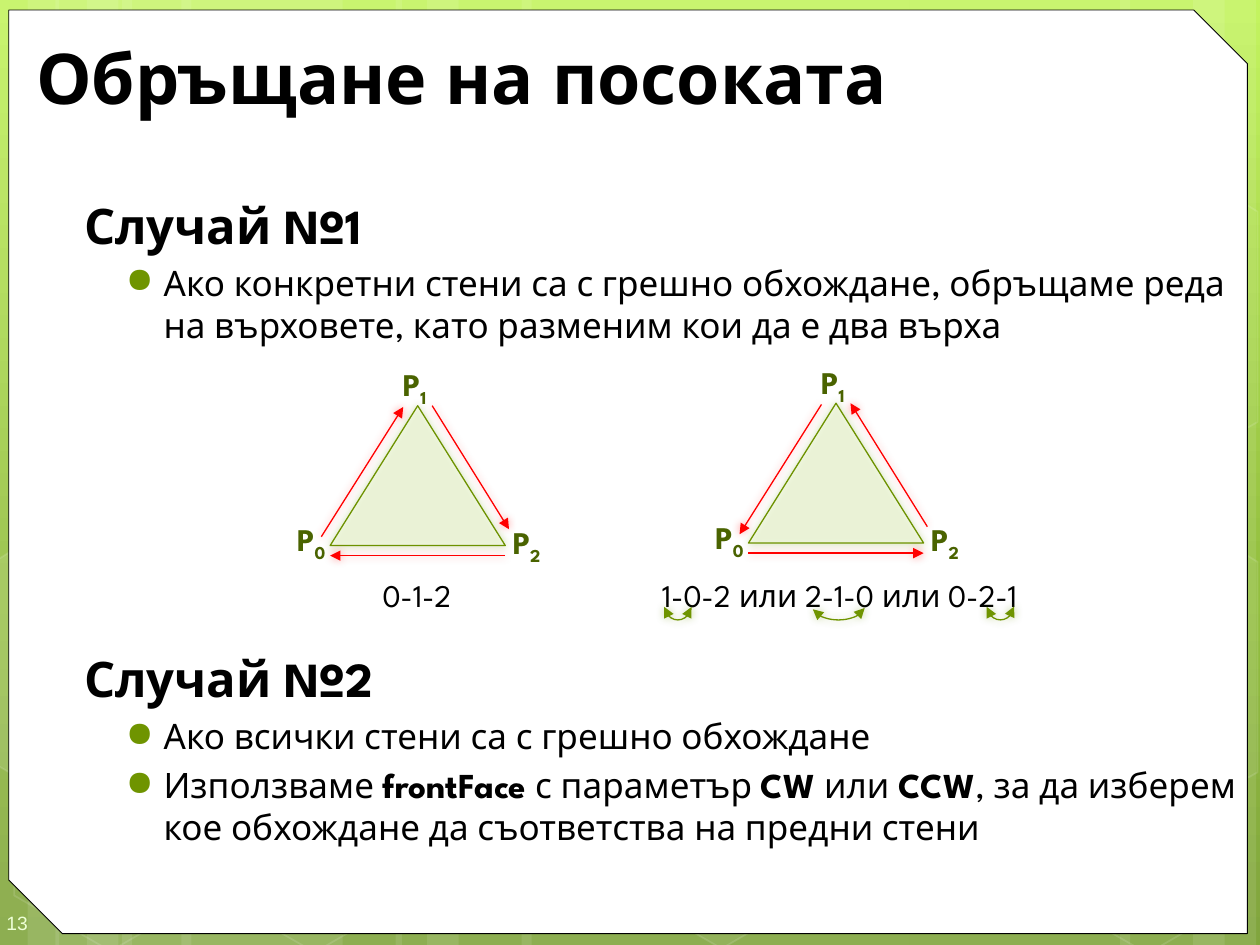
"""Build the slide on reversing the winding order of triangle faces."""
from copy import deepcopy
from typing import NamedTuple

from lxml import etree
from pptx import Presentation
from pptx import util as u
from pptx.dml.color import RGBColor
from pptx.enum import shapes, text
from pptx.oxml.ns import qn

HUE = {
    "top": "C3F35F", "mid": "93BF3F", "low": "81A53E", "white": "FFFFFF",
    "black": "000000", "page": "EEFFD6", "label": "4A6300", "edge": "6D9200",
    "leaf": "6F9400", "face": "F4FCE4", "red": "FF0000",
}
FONT = "League Spartan"
KIND = shapes.MSO_SHAPE
MID = text.PP_ALIGN.CENTER
Point = tuple[float, float]


class Run(NamedTuple):
    words: str
    size: float
    bold: bool = False
    hue: str = "black"
    font: str = FONT
    base: int = 0


class Para(NamedTuple):
    runs: list[Run]
    above: float = 0
    left: float = 0
    hang: float = 0
    mark: bool = False


class Hex(NamedTuple):
    x: float
    y: float
    fill: int = 0
    line: int = 12


class Wing(NamedTuple):
    x: float
    y: float
    ends: tuple[str, ...]


class Bow(NamedTuple):
    x: float
    wide: float
    start: float


BANDS = [(0.97, 1.75), (-0.03, 0.5), (0.22, 0.83), (1.44, 1.75), (0.44, 0.5),
         (0.69, 0.83), (7.22, 1.75), (9.47, 0.5), (8.89, 0.83), (4.14, 3.08),
         (3.14, 0.5), (3.39, 0.83)]
CELLS = [Hex(3.25, 3.13, 10), Hex(4.04, 4.51), Hex(4.05, 1.74, 7, 8),
         Hex(3.23, 0.36, 4, 8), Hex(4.85, 5.89, 6), Hex(0, 5.91),
         Hex(0.03, 3.12, 7, 8), Hex(0.82, 4.51), Hex(1.62, 5.92),
         Hex(1.65, 3.13, 7, 8), Hex(0.84, 1.71), Hex(7.42, 4.53, 10),
         Hex(8.23, 5.93), Hex(8.23, 3.14, 7, 8)]
WINGS = [Wing(2.62, 3.22, ("tailEnd",)), Wing(5.94, 3.2, ("headEnd",))]
TAGS = [("0", -0.31, 0.94), ("2", 1.4, 0.96), ("1", 0.51, -0.29)]
PATHS = [((1.39, 1.19), (0, 1.19)), ((0.81, 0), (1.42, 0.98)),
         ((-0.07, 1.04), (0.58, 0.01))]
BOWS = [Bow(5.27, 0.22, 7.02), Bow(7.83, 0.22, 5.79), Bow(6.44, 0.43, 4.93)]


def tint(name: str) -> RGBColor:
    return RGBColor.from_string(HUE[name])


def fade(node, share: int) -> None:
    for hue in node.iter(qn("a:srgbClr")):
        etree.SubElement(hue, qn("a:alpha"), val=str(share * 1000))


def paint(shape, fill: str = "", line: str = "", width: float = 0.75,
          clear: int = 100, faint: int = 100) -> None:
    shape.shadow.inherit = False
    if fill:
        shape.fill.solid()
        shape.fill.fore_color.rgb = tint(fill)
        fade(shape._element.spPr.find(qn("a:solidFill")), clear)
    else:
        shape.fill.background()
    if line:
        shape.line.color.rgb = tint(line)
        shape.line.width = u.Pt(width)
        fade(shape._element.spPr.find(qn("a:ln")), faint)
    else:
        shape.line.fill.background()


def glow(shape, name: str) -> None:
    props = shape._element.spPr
    group = props.find(qn("a:effectLst"))
    if group is None:
        group = etree.SubElement(props, qn("a:effectLst"))
    cast = etree.SubElement(group, qn("a:outerShdw"), blurRad=str(u.Pt(5)),
                            dist="0", dir="0", algn="ctr", rotWithShape="0")
    etree.SubElement(cast, qn("a:srgbClr"), val=HUE[name])
    fade(cast, 40)


def point(shape, ends: tuple[str, ...]) -> None:
    for end in ends:
        etree.SubElement(shape._element.spPr.find(qn("a:ln")), qn(f"a:{end}"), type="triangle")


def shape(slide, kind, x: float, y: float, w: float, h: float):
    return slide.shapes.add_shape(kind, u.Inches(x), u.Inches(y), u.Inches(w), u.Inches(h))


def write(slide, x: float, y: float, w: float, h: float, paras: list[Para],
          align=None, middle: bool = False,
          pad: tuple[float, ...] = (0.1, 0.05, 0.1, 0.05)) -> None:
    frame = slide.shapes.add_textbox(u.Inches(x), u.Inches(y), u.Inches(w), u.Inches(h)).text_frame
    frame.word_wrap = True
    frame.vertical_anchor = text.MSO_ANCHOR.MIDDLE if middle else text.MSO_ANCHOR.TOP
    (frame.margin_left, frame.margin_top,
     frame.margin_right, frame.margin_bottom) = map(u.Inches, pad)
    for i, item in enumerate(paras):
        para = frame.add_paragraph() if i else frame.paragraphs[0]
        if align is not None:
            para.alignment = align
        if item.above:
            para.space_before = u.Pt(item.above)
        props = para._p.get_or_add_pPr()
        props.set("marL", str(u.Inches(item.left)))
        props.set("indent", str(u.Inches(item.hang)))
        if item.mark:
            hue = etree.SubElement(props, qn("a:buClr"))
            etree.SubElement(hue, qn("a:srgbClr"), val=HUE["leaf"])
            etree.SubElement(props, qn("a:buChar"), char="●")
        for part in item.runs:
            run = para.add_run()
            run.text = part.words
            run.font.size, run.font.bold = u.Pt(part.size), part.bold
            run.font.name, run.font.color.rgb = part.font, tint(part.hue)
            if part.base:
                run.font._element.set("baseline", str(part.base * 1000))


def shade(slide) -> None:
    fill = slide.background.fill
    fill.gradient()
    fill.gradient_angle = 270
    stops = slide._element.find(f".//{qn('a:gsLst')}")
    stops.insert(1, deepcopy(stops[0]))
    for stop, name, place in zip(fill.gradient_stops, ("top", "mid", "low"), (0, 0.62, 1)):
        stop.color.rgb, stop.position = tint(name), place


def clip(slide, start: Point, rest: list[Point], fill: int) -> None:
    pen = slide.shapes.build_freeform(*map(u.Inches, start), scale=1.0)
    pen.add_line_segments([(u.Inches(x), u.Inches(y)) for x, y in rest], close=True)
    paint(pen.convert_to_shape(), "white" if fill else "", "white", 1, fill, 12)


def frame(slide) -> None:
    shade(slide)
    for x, wide in BANDS:
        paint(shape(slide, KIND.RECTANGLE, x, 0, wide, 7.5), "white", clear=10)
    for cell in CELLS:
        tile = shape(slide, KIND.HEXAGON, cell.x, cell.y, 1.75, 1.52)
        tile.adjustments[0], tile.rotation = 0.285, 30
        paint(tile, "white" if cell.fill else "", "white", 1, cell.fill, cell.line)
    clip(slide, (-0.03, 4.45), [(0.08, 4.38), (0.85, 4.82), (0.84, 5.7),
                                (0.09, 6.14), (-0.03, 6.07)], 10)
    for y, fill in ((4.41, 4), (1.63, 0)):
        clip(slide, (9.15, y + 0.44), [(9.9, y), (9.98, y + 0.05), (9.98, y + 1.72),
                                       (9.91, y + 1.76), (9.14, y + 1.32)], fill)
    panel = shape(slide, KIND.SNIP_2_DIAG_RECTANGLE, 0.07, 0.08, 9.83, 7.33)
    panel.adjustments[0], panel.adjustments[1] = 0, 0.058
    paint(panel, "white", "black", 0.5)


def draw(slide, wing: Wing) -> None:
    face = shape(slide, KIND.ISOSCELES_TRIANGLE, wing.x, wing.y, 1.39, 1.11)
    paint(face, "face", "edge", clear=60)
    glow(face, "leaf")
    for tag, x, y in TAGS:
        runs = [Run("P", 18, True, "label"), Run(tag, 18, True, "label", base=-25)]
        write(slide, wing.x + x, wing.y + y, 0.32, 0.28, [Para(runs)], MID, True, (0, 0.05, 0, 0.05))
    for (ax, ay), (bx, by) in PATHS:
        arrow = slide.shapes.add_connector(
            shapes.MSO_CONNECTOR.STRAIGHT, u.Inches(wing.x + ax), u.Inches(wing.y + ay),
            u.Inches(wing.x + bx), u.Inches(wing.y + by))
        arrow.line.color.rgb, arrow.line.width = tint("red"), u.Pt(0.75)
        point(arrow, wing.ends)
        glow(arrow, "red")


def bend(slide, bow: Bow) -> None:
    arc = shape(slide, KIND.ARC, bow.x, 4.67, bow.wide, 0.25)
    arc.adjustments[0], arc.adjustments[1] = bow.start, 101.19
    paint(arc, line="leaf")
    point(arc, ("headEnd", "tailEnd"))
    glow(arc, "leaf")


def head(words: str, above: float = 0) -> Para:
    return Para([Run(words, 28, True)], above, 0.07)


def item(*parts: str) -> Para:
    return Para([Run(part, 20, i % 2 == 1) for i, part in enumerate(parts)], 4, 0.7, -0.3, True)


def main() -> None:
    deck = Presentation()
    deck.slide_width, deck.slide_height = u.Inches(10), u.Inches(7.5)
    slide = deck.slides.add_slide(deck.slide_layouts[6])
    frame(slide)
    write(slide, 0, 7.1, 0.58, 0.4, [Para([Run("13", 11, hue="page", font="Arial")])],
          middle=True, pad=(0.05, 0.15, 0, 0.1))
    write(slide, 0.19, 0.25, 9.47, 0.71, [Para([Run("Обръщане на посоката", 40, True)])], middle=True)
    write(slide, 0.5, 1.5, 9.42, 5.92, [
        head("Случай №1"),
        item("Ако конкретни стени са с грешно обхождане, обръщаме реда на върховете, "
             "като разменим кои да е два върха"),
        head("Случай №2", 173.6),
        item("Ако всички стени са с грешно обхождане"),
        item("Използваме ", "frontFace", " с параметър ", "CW", " или ", "CCW",
             ", за да изберем кое обхождане да съответства на предни стени")])
    for wing in WINGS:
        draw(slide, wing)
    for x, wide, words in ((2.34, 1.94, "0-1-2"), (5, 3.33, "1-0-2 или 2-1-0 или 0-2-1")):
        write(slide, x, 4.52, wide, 0.39, [Para([Run(words, 18)])], MID)
    for bow in BOWS:
        bend(slide, bow)
    deck.save("out.pptx")


if __name__ == "__main__":
    main()
